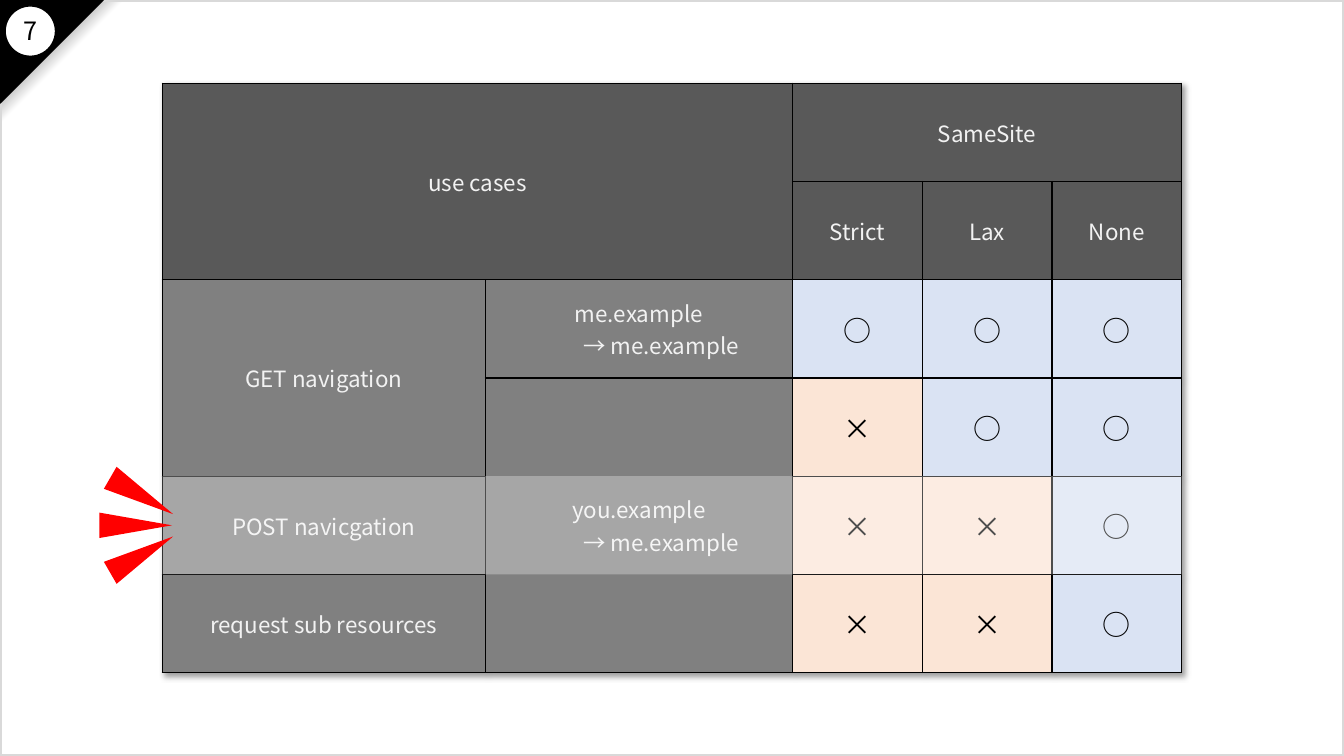
from dataclasses import dataclass

from lxml import etree
from pptx import Presentation
from pptx.dml.color import RGBColor
from pptx.enum.shapes import MSO_SHAPE as Shape
from pptx.enum.text import MSO_ANCHOR as Anchor, PP_ALIGN as Align
from pptx.oxml import parse_xml
from pptx.oxml.ns import nsdecls, qn
from pptx.util import Cm, Pt


@dataclass(frozen=True)
class Theme:
    font: str = "Noto Sans CJK JP"
    label_size: int = 16
    number_size: int = 18
    mark_size: int = 20
    black: str = "000000"
    white: str = "FFFFFF"
    label: str = "F2F2F2"
    frame: str = "D9D9D9"
    header: str = "595959"
    case: str = "808080"
    sent: str = "DAE3F3"
    blocked: str = "FBE5D6"
    accent: str = "FF0000"


THEME = Theme()
SLIDE_WIDTH, SLIDE_HEIGHT = 33.87, 19.05

# Table geometry in centimetres
TABLE_LEFT, TABLE_TOP, TABLE_HEIGHT = 4.09, 2.1, 14.85
COLUMN_WIDTHS = [8.14, 7.74, 3.27, 3.27, 3.27]
TABLE_WIDTH = sum(COLUMN_WIDTHS)
ROW_COUNT = 6
ROW_HEIGHT = TABLE_HEIGHT / ROW_COUNT
POST_ROW = 4

# (row, column, row span, column span, text, fill)
LABELS = [
    (0, 0, 2, 2, "use cases", THEME.header),
    (0, 2, 1, 3, "SameSite", THEME.header),
    (1, 2, 1, 1, "Strict", THEME.header),
    (1, 3, 1, 1, "Lax", THEME.header),
    (1, 4, 1, 1, "None", THEME.header),
    (2, 0, 2, 1, "GET navigation", THEME.case),
    (2, 1, 1, 1, "me.example\n→ me.example", THEME.case),
    (3, 1, 3, 1, "you.example\n→ me.example", THEME.case),
    (POST_ROW, 0, 1, 1, "POST navicgation", THEME.case),
    (5, 0, 1, 1, "request sub resources", THEME.case),
]
MARKS = ["○○○", "×○○", "××○", "××○"]


def style_text(text_frame, size, color):
    for paragraph in text_frame.paragraphs:
        paragraph.alignment = Align.CENTER
        for run in paragraph.runs:
            run.font.size = Pt(size)
            run.font.name = THEME.font
            run.font.color.rgb = RGBColor.from_string(color)
            east_asian = etree.SubElement(run.font._element, qn("a:ea"))
            east_asian.set("typeface", THEME.font)


def add_shape(shapes, kind, left, top, width, height, fill=None, line=None,
              line_width=1, rotation=0):
    shape = shapes.add_shape(kind, Cm(left), Cm(top), Cm(width), Cm(height))
    shape.shadow.inherit = False
    shape.rotation = rotation
    if fill:
        shape.fill.solid()
        shape.fill.fore_color.rgb = RGBColor.from_string(fill)
    else:
        shape.fill.background()
    if line:
        shape.line.color.rgb = RGBColor.from_string(line)
        shape.line.width = Pt(line_width)
    else:
        shape.line.fill.background()
    return shape


def set_corner_gradient(shape):
    stops = [(0, THEME.white), (50, THEME.white), (70, THEME.case), (100, THEME.black)]
    stop_xml = "".join(
        f'<a:gs pos="{position * 1000}"><a:srgbClr val="{color}"/></a:gs>'
        for position, color in stops)
    gradient = parse_xml(
        f'<a:gradFill {nsdecls("a")} rotWithShape="1"><a:gsLst>{stop_xml}</a:gsLst>'
        '<a:lin ang="8100000" scaled="0"/></a:gradFill>')
    properties = shape._element.spPr
    properties.replace(properties.find(qn("a:noFill")), gradient)


def set_cell_look(cell, fill):
    properties = cell._tc.get_or_add_tcPr()
    for side in "LRTB":
        properties.append(parse_xml(
            f'<a:ln{side} {nsdecls("a")} w="12700"><a:solidFill>'
            f'<a:srgbClr val="{THEME.black}"/></a:solidFill></a:ln{side}>'))
    cell.fill.solid()
    cell.fill.fore_color.rgb = RGBColor.from_string(fill)
    cell.vertical_anchor = Anchor.MIDDLE


def fill_cell(cell, text, size, color):
    cell.text_frame.text = text
    # The destination line is indented below its origin
    for paragraph in cell.text_frame.paragraphs[1:]:
        paragraph._p.get_or_add_pPr().set("marL", str(Pt(2 * THEME.label_size)))
    style_text(cell.text_frame, size, color)


def add_use_case_table(slide):
    frame = slide.shapes.add_table(
        ROW_COUNT, len(COLUMN_WIDTHS), Cm(TABLE_LEFT), Cm(TABLE_TOP),
        Cm(TABLE_WIDTH), Cm(TABLE_HEIGHT))
    table = frame.table
    table.first_row = table.horz_banding = False
    table._tbl.tblPr.insert(0, parse_xml(
        f'<a:effectLst {nsdecls("a")}><a:outerShdw blurRad="50800" dist="38100" '
        f'dir="2700000" algn="tl" rotWithShape="0"><a:srgbClr val="{THEME.black}">'
        '<a:alpha val="40000"/></a:srgbClr></a:outerShdw></a:effectLst>'))
    for column, width in zip(table.columns, COLUMN_WIDTHS):
        column.width = Cm(width)
    for row in table.rows:
        row.height = Cm(ROW_HEIGHT)

    # Headings and use cases
    for top, left, row_span, column_span, text, fill in LABELS:
        bottom, right = top + row_span, left + column_span
        for row in range(top, bottom):
            for column in range(left, right):
                set_cell_look(table.cell(row, column), fill)
        cell = table.cell(top, left)
        if row_span * column_span > 1:
            cell.merge(table.cell(bottom - 1, right - 1))
        fill_cell(cell, text, THEME.label_size, THEME.label)

    # Whether the cookie is sent
    for row, marks in enumerate(MARKS, start=2):
        for column, mark in enumerate(marks, start=2):
            cell = table.cell(row, column)
            set_cell_look(cell, THEME.sent if mark == "○" else THEME.blocked)
            fill_cell(cell, mark, THEME.mark_size, THEME.black)


def add_page_corner(slide, number):
    add_shape(slide.shapes, Shape.RIGHT_TRIANGLE, 0, 0, 2.6, 2.6,
              THEME.black, THEME.black, rotation=90)
    add_shape(slide.shapes, Shape.OVAL, 0.13, 0.15, 1.27, 1.27, THEME.white, THEME.black)
    box = slide.shapes.add_textbox(Cm(0.3), Cm(0.27), Cm(0.92), Cm(1.03))
    box.text_frame.word_wrap = False
    box.text_frame.text = number
    style_text(box.text_frame, THEME.number_size, THEME.black)


def add_row_highlight(slide):
    top = TABLE_TOP + POST_ROW * ROW_HEIGHT
    veil = add_shape(slide.shapes, Shape.RECTANGLE, TABLE_LEFT, top,
                     TABLE_WIDTH, ROW_HEIGHT, THEME.white)
    color = veil._element.spPr.find(qn("a:solidFill"))[0]
    etree.SubElement(color, qn("a:alpha")).set("val", "30000")

    # Three wedges pointing at the row
    wedges = slide.shapes.add_group_shape()
    width, height = 0.64, 1.83
    middle = top + ROW_HEIGHT / 2
    for center_x, offset_y, rotation in [(3.42, 0, 90), (3.57, 0.74, 60), (3.57, -0.74, 120)]:
        add_shape(wedges.shapes, Shape.ISOSCELES_TRIANGLE, center_x - width / 2,
                  middle + offset_y - height / 2, width, height,
                  THEME.accent, rotation=rotation)


def main():
    presentation = Presentation()
    presentation.slide_width = Cm(SLIDE_WIDTH)
    presentation.slide_height = Cm(SLIDE_HEIGHT)
    slide = presentation.slides.add_slide(presentation.slide_layouts[6])

    # Backdrop: soft corner shade and slide frame
    shade = add_shape(slide.shapes, Shape.RIGHT_TRIANGLE, 0, 0, 3.12, 3.12, rotation=90)
    set_corner_gradient(shade)
    add_shape(slide.shapes, Shape.RECTANGLE, 0, 0, SLIDE_WIDTH, SLIDE_HEIGHT,
              line=THEME.frame, line_width=3)

    add_use_case_table(slide)
    add_page_corner(slide, "7")
    add_row_highlight(slide)
    presentation.save("out.pptx")


if __name__ == "__main__":
    main()
